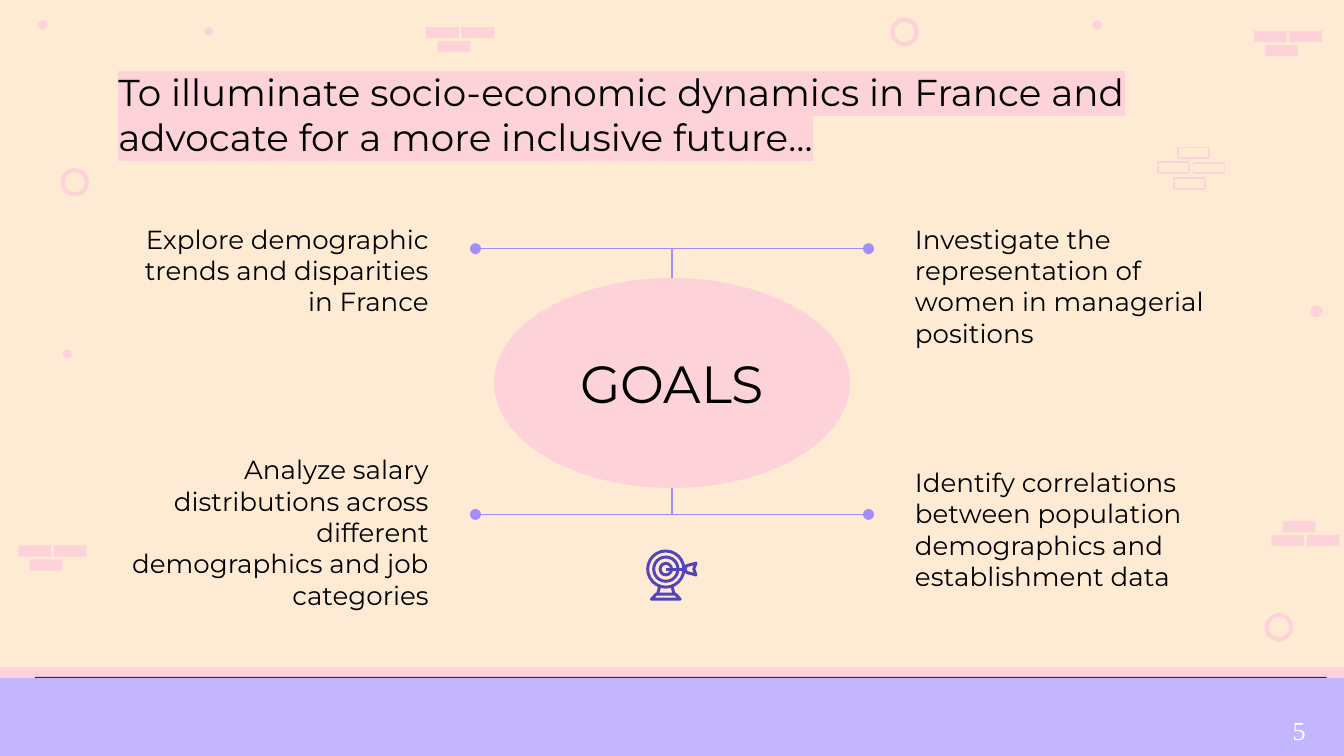
from dataclasses import dataclass
from lxml.etree import SubElement
from pptx import Presentation
from pptx.dml.color import RGBColor
from pptx.enum.shapes import MSO_CONNECTOR, MSO_SHAPE
from pptx.enum.text import MSO_ANCHOR, MSO_AUTO_SIZE, PP_ALIGN
from pptx.oxml.ns import qn
from pptx.util import Pt


@dataclass(frozen=True)
class Theme:
    base: str = "C4B6FE"
    cream: str = "FFEAD3"
    pink: str = "FDD3D9"
    violet: str = "A48EFD"
    indigo: str = "5344BB"
    brown: str = "382B26"
    ink: str = "000000"
    white: str = "FFFFFF"
    font: str = "Montserrat"
    serif: str = "Times New Roman"
    title: float = 20
    body: float = 14
    hub: float = 28


class Deck:
    def __init__(self, theme):
        self.theme = theme
        self.show = Presentation()
        self.show.slide_width, self.show.slide_height = Pt(720), Pt(405)
        self.slide = self.show.slides.add_slide(self.show.slide_layouts[5])
        self.shapes = self.slide.shapes
        fill = self.slide.background.fill
        fill.solid()
        fill.fore_color.rgb = RGBColor.from_string(theme.base)

    def paint(self, shape, fill=None, line=None, width=1.0):
        shape.shadow.inherit = False
        if fill:
            shape.fill.solid()
            shape.fill.fore_color.rgb = RGBColor.from_string(fill)
        else:
            shape.fill.background()
        if line:
            shape.line.color.rgb = RGBColor.from_string(line)
            shape.line.width = Pt(width)
        else:
            shape.line.fill.background()
        return shape

    def box(self, kind, *area, **style):
        """Draw a preset shape; area is left, top, width, height."""
        return self.paint(self.shapes.add_shape(kind, *map(Pt, area)), **style)

    def ring(self, x, y, radius, color, width):
        self.box(MSO_SHAPE.OVAL, x - radius, y - radius, 2 * radius, 2 * radius,
                 line=color, width=width)

    def poly(self, points, **style):
        start, *rest = [tuple(map(Pt, point)) for point in points]
        outline = self.shapes.build_freeform(*start)
        outline.add_line_segments(rest, close=True)
        self.paint(outline.convert_to_shape(), **style)

    def link(self, start, end, color, width, bent=False):
        """Draw a line, or a bend that leaves sideways from a round dot."""
        kind = MSO_CONNECTOR.ELBOW if bent else MSO_CONNECTOR.STRAIGHT
        line = self.shapes.add_connector(kind, *map(Pt, (*start, *end)))
        line.line.color.rgb = RGBColor.from_string(color)
        line.line.width = Pt(width)
        props = line._element.spPr
        if bent:
            props.find(qn("a:prstGeom")).set("prst", "bentConnector2")
            SubElement(props.find(qn("a:ln")), qn("a:headEnd"), type="oval")
        SubElement(props, qn("a:effectLst"))

    def letter(self, shape, text, size, color=None, font=None, mark=None,
               align=PP_ALIGN.LEFT, inset=7.2, **frame):
        """Fill a shape with text; mark is a highlight colour."""
        body = shape.text_frame
        values = {"word_wrap": True, "auto_size": MSO_AUTO_SIZE.NONE,
                  "vertical_anchor": MSO_ANCHOR.TOP,
                  "margin_left": Pt(7.2), "margin_right": Pt(7.2),
                  "margin_top": Pt(inset), "margin_bottom": Pt(inset), **frame}
        for name, value in values.items():
            setattr(body, name, value)
        para = body.paragraphs[0]
        para.alignment = align
        run = para.add_run()
        run.text = text
        for name, value in {"size": Pt(size), "name": font or self.theme.font}.items():
            setattr(run.font, name, value)
        run.font.color.rgb = RGBColor.from_string(color or self.theme.ink)
        if mark:
            props = run._r.get_or_add_rPr()
            light = SubElement(props, qn("a:highlight"))
            SubElement(light, qn("a:srgbClr"), val=mark)
            props.find(qn("a:solidFill")).addnext(light)

    def title(self, text, *area):
        shape = self.shapes.title
        names = ("left", "top", "width", "height")
        for name, value in zip(names, area):
            setattr(shape, name, Pt(value))
        self.letter(shape, text, self.theme.title, mark=self.theme.pink,
                    vertical_anchor=MSO_ANCHOR.MIDDLE)
        self.shapes._spTree.append(shape._element)  # in front of the backdrop

    def label(self, text, *area, **style):
        self.letter(self.shapes.add_textbox(*map(Pt, area)), text,
                    self.theme.body, **style)

    def bricks(self, x, y, side):
        """Draw two bricks and a third one below (side 1) or above (-1)."""
        for dx, dy in ((0, 0), (19, 0), (6.1, 7.5 * side)):
            self.box(MSO_SHAPE.RECTANGLE, x + dx, y + dy, 17.5, 6,
                     fill=self.theme.pink)

    def target(self, x, y):
        """Draw a dartboard on a stand, centred on x, y."""
        pen = {"color": self.theme.indigo, "width": 1.6}
        edge = {"line": self.theme.indigo, "width": 1.6}
        for radius in (9.7, 6.5, 3.1):
            self.ring(x, y, radius, **pen)
        self.link((x, y), (x + 10.5, y), **pen)
        fin = ((10.2, 0), (11.2, -1.8), (16.2, -3.2),
               (15, 0), (16.2, 3.2), (11.2, 1.8))
        foot = ((-7.7, 16.1), (-5.2, 13.4), (5.2, 13.4), (7.7, 16.1))
        for part in (fin, foot):
            self.poly([(x + dx, y + dy) for dx, dy in part], **edge)
        for side in (-1, 1):
            self.link((x + 3.4 * side, y + 9.5), (x + 4.4 * side, y + 13.4), **pen)


def main():
    theme = Theme()
    deck = Deck(theme)
    rect, oval = MSO_SHAPE.RECTANGLE, MSO_SHAPE.OVAL

    deck.box(rect, 0, 0, 720, 363, fill=theme.cream)
    deck.box(rect, 0, 357.3, 720, 5.7, fill=theme.pink)
    deck.box(rect, 18.7, 362.7, 692, 0.5, fill=theme.brown)
    for spot in ((681.1, 286.6, -1), (671.8, 16.6, 1),
                 (228.3, 14.5, 1), (9.8, 292.2, 1)):
        deck.bricks(*spot)
    for x, y, size in ((585.4, 10.8, 5), (128.2, 56.2, 5.8), (702, 163.5, 6.5),
                       (33.6, 187.2, 4.8), (109.6, 14.5, 4.6), (20.4, 10.8, 5)):
        deck.box(oval, x, y, size, size, fill=theme.pink)
    for x, y in ((484.5, 17.1), (40, 97.6), (685.2, 336)):
        deck.ring(x, y, 6.5, theme.pink, 2.25)
    for x, y in ((620.4, 86.8), (631.1, 79), (629, 95.4), (639.4, 87.2)):
        deck.box(rect, x, y, 16.6, 5.7, line=theme.pink, width=1)

    deck.title("To illuminate socio-economic dynamics in France and "
               "advocate for a more inclusive future…", 56.2, 29.5, 607, 63.4)

    mid = 360
    for level, edge in ((133.2, 149), (275.6, 261.4)):
        for side in (1, -1):
            deck.link((mid + 105.3 * side, level), (mid, edge),
                      theme.violet, 0.75, bent=True)

    left, right = 56.9, 483.1
    goals = (
        ("Explore demographic trends and disparities in France", left, 112.3, 72.7),
        ("Investigate the representation of women in managerial positions",
         right, 112.3, 79.2),
        ("Analyze salary distributions across different demographics "
         "and job categories", left, 235.8, 92.9),
        ("Identify correlations between population demographics and "
         "establishment data", right, 242.6, 79.2),
    )
    for text, x, y, height in goals:
        align = PP_ALIGN.RIGHT if x == left else PP_ALIGN.LEFT
        deck.label(text, x, y, 180, height, align=align)

    hub = deck.box(oval, mid - 95.4, 149, 190.8, 112.4, fill=theme.pink)
    deck.letter(hub, "GOALS", theme.hub, mark=theme.pink,
                align=PP_ALIGN.CENTER, vertical_anchor=MSO_ANCHOR.MIDDLE)
    deck.label("5", 685.4, 379.4, 22.3, 24.5, color=theme.white,
               font=theme.serif, inset=3.6, word_wrap=False,
               auto_size=MSO_AUTO_SIZE.SHAPE_TO_FIT_TEXT)
    deck.target(356.7, 304.9)
    deck.show.save("out.pptx")


if __name__ == "__main__":
    main()
